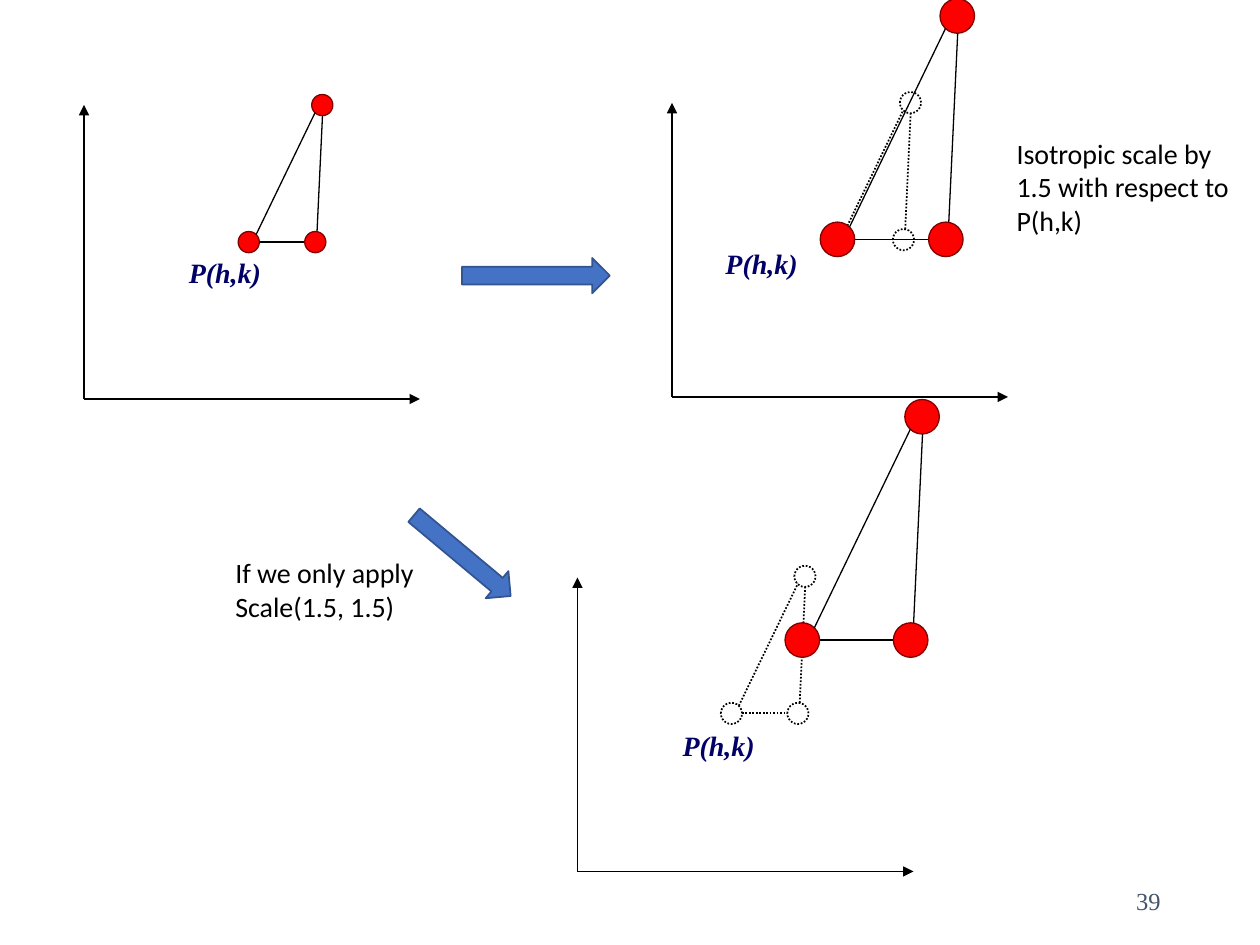
from lxml import etree
from pptx import Presentation
from pptx.dml.color import RGBColor
from pptx.enum.dml import MSO_LINE
from pptx.enum.shapes import MSO_CONNECTOR, MSO_SHAPE
from pptx.enum.text import MSO_ANCHOR, PP_ALIGN
from pptx.oxml.ns import qn
from pptx.util import Pt

STRAIGHT = MSO_CONNECTOR.STRAIGHT
ELLIPSE = MSO_SHAPE.OVAL
RIGHT_ARROW = MSO_SHAPE.RIGHT_ARROW
DOTTED = MSO_LINE.ROUND_DOT
LEFT, RIGHT = PP_ALIGN.LEFT, PP_ALIGN.RIGHT
TOP, MIDDLE = MSO_ANCHOR.TOP, MSO_ANCHOR.MIDDLE

SERIF, SANS = "Times New Roman", "Calibri"
BLACK, WHITE, RED, MAROON = "000000", "FFFFFF", "FF0000", "800000"
NAVY, SLATE, BLUE, DARK_BLUE = "000066", "44546A", "4472C4", "325491"

# Triangle at scale 1: vertex circles and edges, relative to its top left
VERTEX_SIZE = 12.1
APEX, PIVOT, CORNER = (42, 0), (0, 78.3), (38, 78.3)
EDGES = [(10.3, 80, 44, 10.3), (44.8, 84.3, 48.2, 12.1), (12.1, 84.3, 46, 84.3)]
LARGE = 1.63


def color(value):
    return RGBColor.from_string(value)


def set_line(line, value, width, dash=None):
    line.color.rgb = color(value)
    line.width = Pt(width)
    if dash:
        line.dash_style = dash


def add_line(shapes, x1, y1, x2, y2, width=0.75, dash=None, arrow=False):
    c = shapes.add_connector(STRAIGHT, Pt(x1), Pt(y1), Pt(x2), Pt(y2))
    set_line(c.line, BLACK, width, dash)
    if arrow:
        etree.SubElement(c.line._get_or_add_ln(), qn("a:tailEnd"), type="triangle")
    etree.SubElement(c._element.spPr, qn("a:effectLst"))


def add_shape(shapes, kind, box, fill, line, width, dash=None):
    sp = shapes.add_shape(kind, *map(Pt, box))
    sp.shadow.inherit = False
    sp.fill.solid()
    sp.fill.fore_color.rgb = color(fill)
    set_line(sp.line, line, width, dash)
    return sp


def add_text(s, box, text, size=16, font=SANS, value=BLACK, wrap=True,
             emphasis=False, align=LEFT, anchor=TOP):
    tf = s.shapes.add_textbox(*map(Pt, box)).text_frame
    tf.word_wrap = wrap
    tf.vertical_anchor = anchor
    p = tf.paragraphs[0]
    p.text = text
    p.alignment = align
    p.font.size = Pt(size)
    p.font.name = font
    p.font.color.rgb = color(value)
    p.font.bold = p.font.italic = emphasis


def add_triangle(s, left, top, scale=1, dotted=False):
    shapes = s.shapes.add_group_shape().shapes
    fill, line, width, dash = (WHITE, BLACK, 1, DOTTED) if dotted else (RED, MAROON, 0.75, None)
    size = VERTEX_SIZE * scale

    def add_vertex(x, y):
        box = (left + x * scale, top + y * scale, size, size)
        add_shape(shapes, ELLIPSE, box, fill, line, width, dash)

    add_vertex(*APEX)
    add_vertex(*PIVOT)
    for x1, y1, x2, y2 in EDGES:
        add_line(shapes, left + x1 * scale, top + y1 * scale,
                 left + x2 * scale, top + y2 * scale, width, dash)
    add_vertex(*CORNER)


def add_plot(s, box, label, triangles):
    """Axes along the left and bottom of the box; parts are offset from it."""
    left, top, width, height = box
    bottom = top + height
    add_line(s.shapes, left, bottom, left + width, bottom, arrow=True)
    add_line(s.shapes, left, bottom, left, top, arrow=True)
    dx, dy = label
    add_text(s, (left + dx, top + dy, 57.6, 26.6), "P(h,k)", font=SERIF,
             value=NAVY, wrap=False, emphasis=True)
    for dx, dy, scale, dotted in triangles:
        add_triangle(s, left + dx, top + dy, scale, dotted)


def add_block_arrow(s, box, rotation=0):
    sp = add_shape(s.shapes, RIGHT_ARROW, box, BLUE, DARK_BLUE, 1)
    sp.rotation = rotation


def main():
    prs = Presentation()
    prs.slide_width, prs.slide_height = Pt(720), Pt(540)
    s = prs.slides.add_slide(prs.slide_layouts[6])

    # Slide number
    add_text(s, (508.3, 500.4, 162, 28.8), "39", 14, SERIF, SLATE,
             align=RIGHT, anchor=MIDDLE)

    # Starting triangle
    add_plot(s, (48, 60, 192, 168), (52.8, 82.6), [(88.1, -6, 1, False)])

    # Scaled about P(h,k)
    add_plot(s, (384, 58.8, 192, 168), (23.5, 78.7),
             [(88.2, -6.2, 1, True), (84.7, -59.5, LARGE, False)])
    add_text(s, (573.8, 74.2, 144.7, 65.5), "Isotropic scale by 1.5 with respect to P(h,k)")
    add_block_arrow(s, (264, 147.4, 84.5, 20.2))

    # Scaled about the axes' origin
    add_block_arrow(s, (228.2, 307.4, 72, 20.2), 39.9)
    add_plot(s, (330, 330, 192, 168), (53, 82.6),
             [(81.9, -6.7, 1, True), (118.6, -101.7, LARGE, False)])
    add_text(s, (127.4, 313.9, 144.7, 46), "If we only apply Scale(1.5, 1.5)")

    prs.save("out.pptx")


if __name__ == "__main__":
    main()
